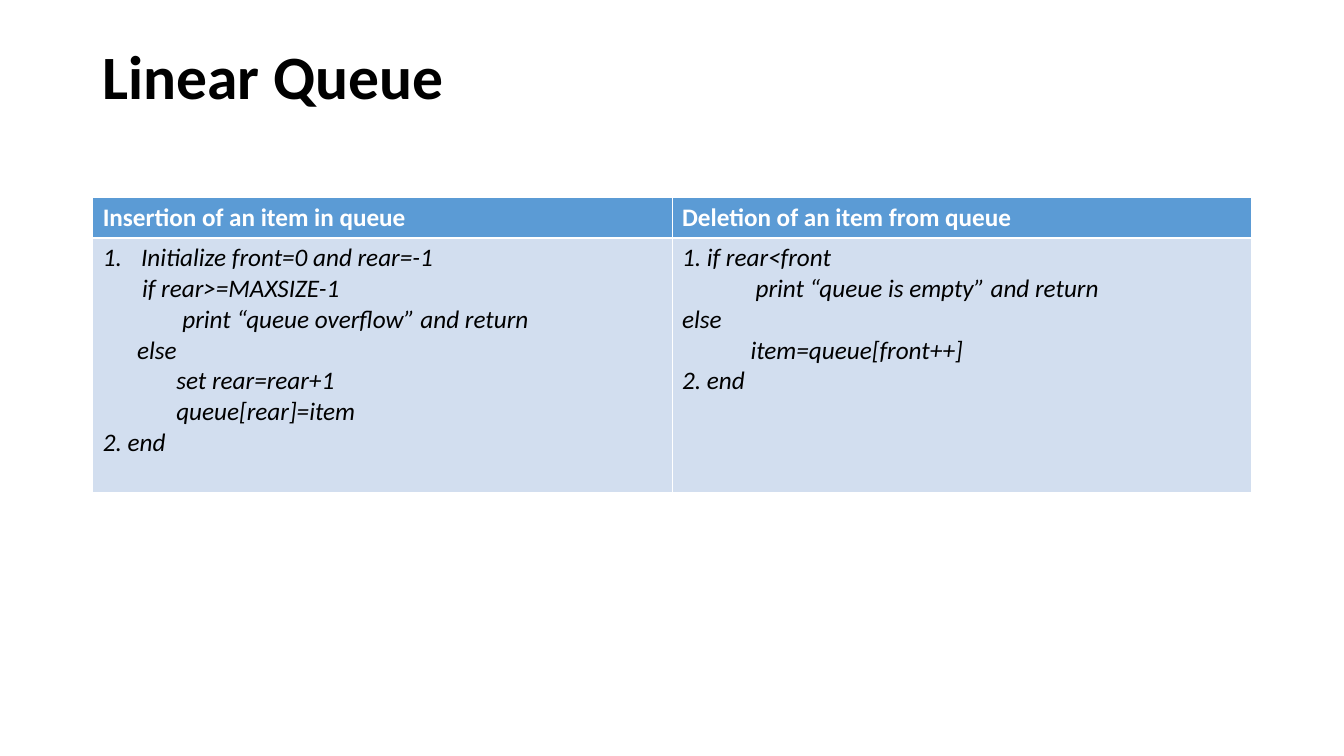
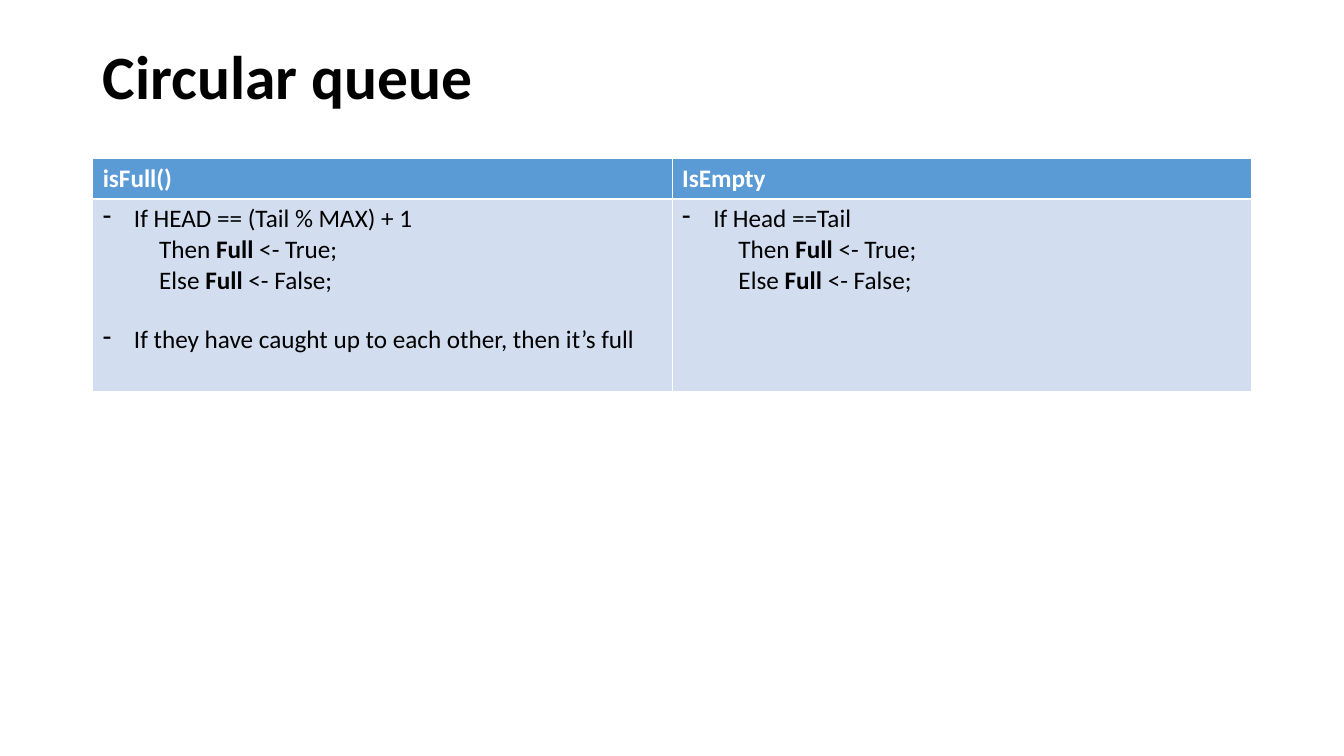
import pptx
import pptx.dml.color
import pptx.enum.text
import pptx.oxml.ns
import pptx.util
from lxml import etree
from pptx.util import Inches, Pt

RGBColor = pptx.dml.color.RGBColor
BLACK = RGBColor(0x00, 0x00, 0x00)
WHITE = RGBColor(0xFF, 0xFF, 0xFF)
HEADER_BLUE = RGBColor(0x5B, 0x9B, 0xD5)
BODY_BLUE = RGBColor(0xD2, 0xDE, 0xEF)
FONT = "Calibri"
LEFT, WIDTH = 0.92, 11.5
THIN, THICK = 0.45, 1.47

# Body lines: (text, indent in inches, bullet, space before in points).
# Asterisks enclose bold words.
INSERTION = [
    ("Initialize front=0 and rear=-1", 0.38, "1.", 0),
    ("if rear>=MAXSIZE-1", 0.39, None, 0),
    ("print “queue overflow” and return", 0.79, None, 0),
    ("else", 0.34, None, 0),
    ("set rear=rear+1", 0.73, None, 0),
    ("queue[rear]=item", 0.73, None, 0),
    ("2. end", 0, None, 0),
]
DELETION = [
    ("1. if rear<front", 0, None, 0),
    ("print “queue is empty” and return", 0.73, None, 0),
    ("else", 0, None, 0),
    ("item=queue[front++]", 0.68, None, 0),
    ("2. end", 0, None, 0),
]
FULL_RESULT = [
    ("Then *Full* <- True;", 0.56, None, 0),
    ("Else *Full* <- False;", 0.56, None, 0),
]
IS_FULL = [
    ("If HEAD == (Tail % MAX) + 1", 0.31, "-", 0),
    *FULL_RESULT,
    ("If they have caught up to each other, then it’s full", 0.31, "-", 20.5),
]
IS_EMPTY = [("If Head ==Tail", 0.31, "-", 0), *FULL_RESULT]


def style_font(font, size, color, bold=False, italic=False):
    font.name = FONT
    font.size = Pt(size)
    font.color.rgb = color
    font.bold = bold
    font.italic = italic


def add_title(page, text):
    box = page.shapes.add_textbox(Inches(LEFT), Inches(0.4), Inches(WIDTH), Inches(0.77))
    frame = box.text_frame
    frame.word_wrap = True
    frame.vertical_anchor = pptx.enum.text.MSO_ANCHOR.MIDDLE
    para = frame.paragraphs[0]
    para.text = text
    para.line_spacing = 0.9
    style_font(para.font, 44, BLACK, bold=True)


def set_borders(cell, top, bottom):
    properties = cell._tc.get_or_add_tcPr()
    for side, width in (("L", THIN), ("R", THIN), ("T", top), ("B", bottom)):
        line = etree.SubElement(properties, pptx.oxml.ns.qn(f"a:ln{side}"), w=str(Pt(width)))
        fill = etree.SubElement(line, pptx.oxml.ns.qn("a:solidFill"))
        etree.SubElement(fill, pptx.oxml.ns.qn("a:srgbClr"), val=str(WHITE))


def set_indent(para, indent, bullet):
    properties = para._p.get_or_add_pPr()
    properties.set("marL", str(Inches(indent)))
    properties.set("indent", str(-Inches(indent) if bullet else 0))
    if bullet == "1.":
        etree.SubElement(properties, pptx.oxml.ns.qn("a:buAutoNum"), type="arabicPeriod")
    elif bullet:
        etree.SubElement(properties, pptx.oxml.ns.qn("a:buChar"), char=bullet)
    else:
        etree.SubElement(properties, pptx.oxml.ns.qn("a:buNone"))


def fill_header(cell, text):
    set_borders(cell, THIN, THICK)
    cell.fill.solid()
    cell.fill.fore_color.rgb = HEADER_BLUE
    para = cell.text_frame.paragraphs[0]
    para.text = text
    style_font(para.font, 18, WHITE, bold=True)


def fill_body(cell, lines, italic):
    set_borders(cell, THICK, THIN)
    cell.fill.solid()
    cell.fill.fore_color.rgb = BODY_BLUE
    frame = cell.text_frame
    for number, (text, indent, bullet, gap) in enumerate(lines):
        para = frame.add_paragraph() if number else frame.paragraphs[0]
        para.space_before = Pt(gap)
        set_indent(para, indent, bullet)
        style_font(para.font, 18, BLACK, italic=italic)
        for position, part in enumerate(text.split("*")):
            span = para.add_run()
            span.text = part
            if position % 2:
                span.font.bold = True


def add_comparison(page, top, row_heights, columns, italic=False):
    frame = page.shapes.add_table(2, len(columns), Inches(LEFT), Inches(top),
                                  Inches(WIDTH), Inches(sum(row_heights)))
    table = frame.table
    for row, height in zip(table.rows, row_heights):
        row.height = Inches(height)
    for index, (heading, lines) in enumerate(columns):
        table.columns[index].width = Inches(WIDTH / len(columns))
        fill_header(table.cell(0, index), heading)
        fill_body(table.cell(1, index), lines, italic)


def add_page(deck, title):
    page = deck.slides.add_slide(deck.slide_layouts[6])
    add_title(page, title)
    return page


def main():
    deck = pptx.Presentation()
    deck.slide_width, deck.slide_height = Inches(13.34), Inches(7.5)

    # Linear queue
    page = add_page(deck, "Linear Queue")
    add_comparison(page, 1.96, (0.4, 2.52), [
        ("Insertion of an item in queue", INSERTION),
        ("Deletion of an item from queue", DELETION),
    ], italic=True)

    # Circular queue
    page = add_page(deck, "Circular queue")
    add_comparison(page, 1.57, (0.4, 1.91), [
        ("isFull()", IS_FULL),
        ("IsEmpty", IS_EMPTY),
    ])

    deck.save("out.pptx")


if __name__ == "__main__":
    main()
